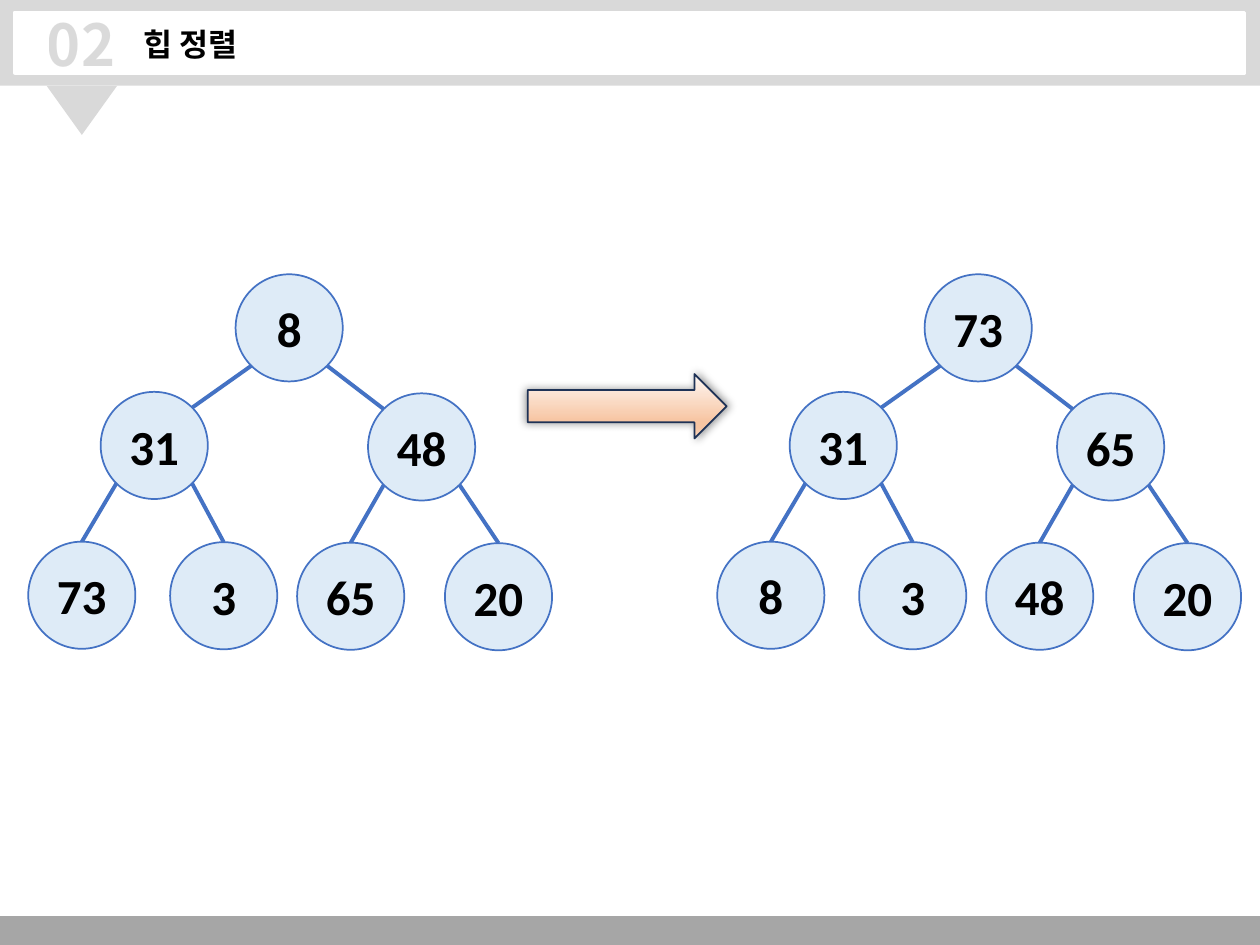
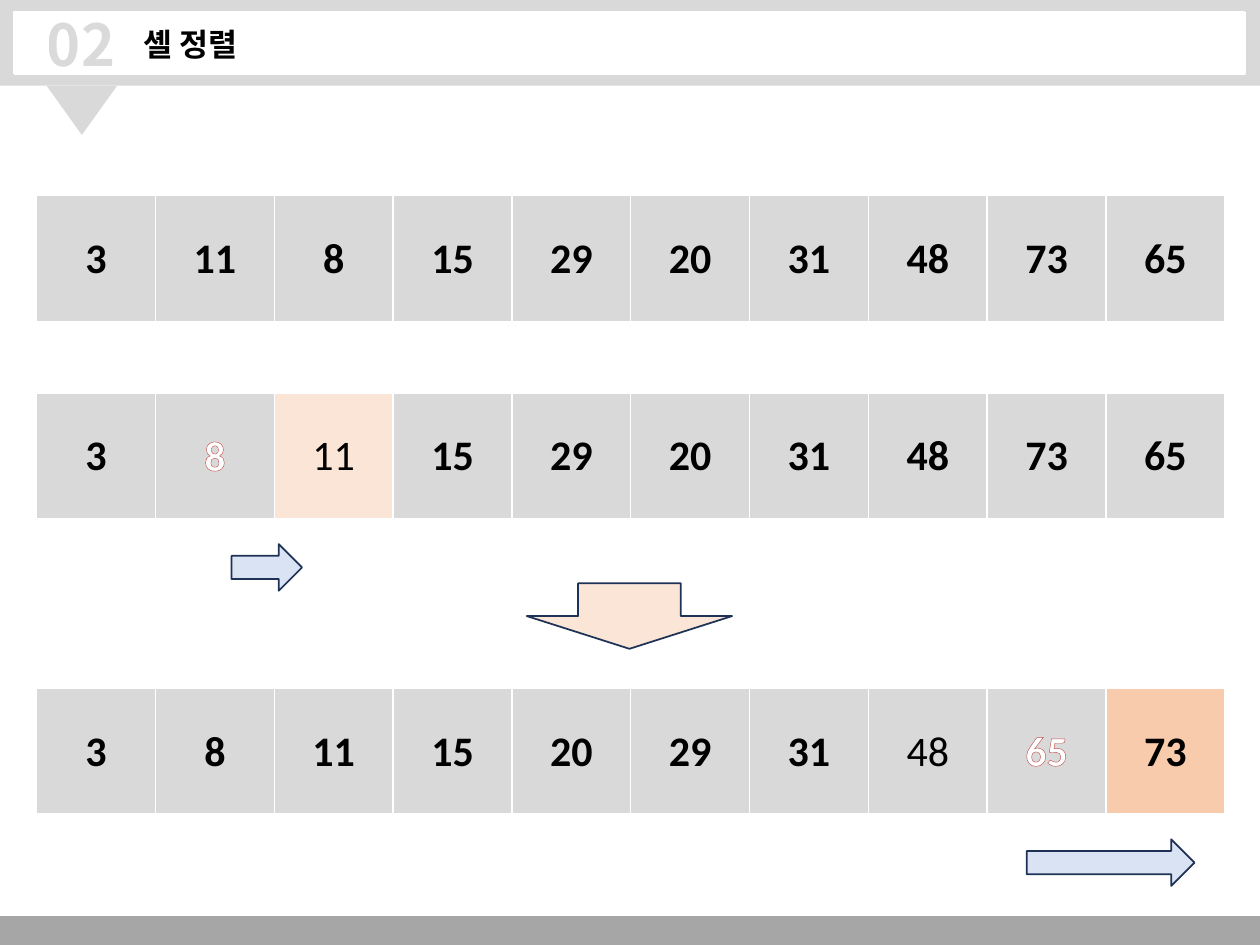
from lxml.etree import SubElement
from pptx import Presentation
from pptx.dml.color import RGBColor
from pptx.enum.shapes import MSO_CONNECTOR, MSO_SHAPE
from pptx.enum.text import MSO_ANCHOR, MSO_AUTO_SIZE, PP_ALIGN
from pptx.oxml.ns import qn
from pptx.util import Cm, Pt

WIDTH, HEIGHT = 25.4, 19.05
KOREAN, NUMERIC = "Noto Sans CJK KR", "Calibri"
BLACK, WHITE, GREY, DARK_GREY = "000000", "FFFFFF", "D9D9D9", "A6A6A6"
BLUE, PALE_BLUE, ARROW_BLUE, NAVY = "4472C4", "DEEBF7", "DAE3F3", "1E3256"
PALE_ORANGE, ORANGE = "FBE5D6", "F8CBAD"
SECTION = "02"

# Heap sort: values in level order, centres shared by both trees
HEAP_TITLE = "힙 정렬"
HEAPS = [[8, 31, 48, 73, 3, 65, 20], [73, 31, 65, 8, 3, 48, 20]]
NODE_CENTRES = [(5.83, 6.61), (3.11, 8.98), (8.5, 9.01),
                (1.65, 12), (4.51, 12.01), (7.07, 12.02), (10.05, 12.03)]
FIRST_LEAF = 3
TREE_STEP = 13.89
RADIUS, DIAGONAL = 1.08, 0.76
HEAP_ARROW = (10.64, 7.54, 4.01, 1.3)
HEAP_GRADIENT = [(0, "FEF8F5"), (74, "F7C5A2"), (83, "F7C5A2"), (100, "FAD8C1")]

# Shell sort: top of the row, values, and the cells that stand out
SHELL_TITLE = "셸 정렬"
PICKED = dict(color=WHITE, outline=("C0504D", 0.52, 100))
LIGHT = dict(bold=False)
SHELL_ROWS = [
    (3.94, [3, 11, 8, 15, 29, 20, 31, 48, 73, 65], {}, {}),
    (7.92, [3, 8, 11, 15, 29, 20, 31, 48, 73, 65],
     {1: PICKED, 2: LIGHT}, {2: PALE_ORANGE}),
    (13.87, [3, 8, 11, 15, 20, 29, 31, 48, 65, 73],
     {7: LIGHT, 8: PICKED}, {9: ORANGE}),
]
ROW_LEFT, ROW_WIDTH, ROW_HEIGHT = 0.74, 23.95, 2.57
SHELL_ARROWS = [
    (MSO_SHAPE.RIGHT_ARROW, (4.67, 10.97, 1.42, 0.94), ARROW_BLUE),
    (MSO_SHAPE.DOWN_ARROW, (10.62, 11.76, 4.14, 1.32), PALE_ORANGE),
    (MSO_SHAPE.RIGHT_ARROW, (20.7, 16.92, 3.38, 0.94), ARROW_BLUE),
]


def rgb(code):
    return RGBColor.from_string(code)


def add_xml(parent, tag, **attributes):
    return SubElement(parent, qn(tag), {k: str(v) for k, v in attributes.items()})


def add_color(parent, code, opacity=100):
    color = add_xml(parent, "a:srgbClr", val=code)
    if opacity < 100:
        add_xml(color, "a:alpha", val=opacity * 1000)


def write(frame, text, size, font=NUMERIC, color=BLACK, bold=True,
          align=PP_ALIGN.CENTER, opacity=100, spacing=None, outline=None):
    """Fill a text frame with one span; outline is (colour, points, opacity)."""
    para = frame.paragraphs[0]
    para.alignment = align
    span = para.add_run()
    span.text = str(text)
    span.font.size, span.font.bold, span.font.name = Pt(size), bold, font
    span.font.color.rgb = rgb(color)
    properties = span.font._element
    add_xml(properties, "a:ea", typeface=font)
    if opacity < 100:
        add_xml(properties.find(".//" + qn("a:srgbClr")), "a:alpha", val=opacity * 1000)
    if spacing:
        properties.set("spc", str(int(spacing * 100)))
    if outline:
        code, width, line_opacity = outline
        line = add_xml(properties, "a:ln", w=int(Pt(width)))
        add_color(add_xml(line, "a:solidFill"), code, line_opacity)
        properties.insert(0, line)


def add_figure(page, kind, place, fill, line=None, line_width=1):
    figure = page.shapes.add_shape(kind, *map(Cm, place))
    figure.shadow.inherit = False
    figure.fill.solid()
    figure.fill.fore_color.rgb = rgb(fill)
    if line:
        figure.line.color.rgb = rgb(line)
        figure.line.width = Pt(line_width)
    else:
        figure.line.fill.background()
    return figure


def add_page(deck, title):
    """Add a slide with the shared bands, section number and title."""
    page = deck.slides.add_slide(deck.slide_layouts.get_by_name("Title Only"))
    add_figure(page, MSO_SHAPE.RECTANGLE, (0, 18.47, WIDTH, 0.58), DARK_GREY)
    add_figure(page, MSO_SHAPE.RECTANGLE, (0, 0, WIDTH, 1.73), GREY)
    pointer = add_figure(page, MSO_SHAPE.ISOSCELES_TRIANGLE, (0.94, 1.73, 1.42, 0.99), GREY)
    pointer.rotation = 180
    add_figure(page, MSO_SHAPE.RECTANGLE, (0.3, 0.25, 24.79, 1.22), WHITE, WHITE, 2)

    heading = page.shapes.title
    heading.left, heading.top, heading.width, heading.height = map(Cm, (2.64, 0.38, 4.01, 1.02))
    page.shapes._spTree.append(heading._element)  # in front of the bands
    number = page.shapes.add_textbox(*map(Cm, (0.69, 0.03, 1.98, 1.68)))
    for box in (heading, number):
        box.text_frame.auto_size = MSO_AUTO_SIZE.NONE
        box.text_frame.vertical_anchor = MSO_ANCHOR.MIDDLE
    heading.text_frame.word_wrap = True
    number.text_frame.word_wrap = False
    write(heading.text_frame, title, 18, KOREAN, align=PP_ALIGN.LEFT)
    write(number.text_frame, SECTION, 33, KOREAN, GREY, align=PP_ALIGN.LEFT,
          opacity=95, spacing=0.5, outline=("101A26", 1.06, 6))
    return page


def add_edge(page, start, end):
    edge = page.shapes.add_connector(MSO_CONNECTOR.STRAIGHT, *map(Cm, start + end))
    edge.line.color.rgb = rgb(BLUE)
    edge.line.width = Pt(2.25)
    add_xml(edge._element.spPr, "a:effectLst")


def add_tree(page, values, offset):
    centres = [(x + offset, y) for x, y in NODE_CENTRES]
    for child in range(1, len(centres)):
        parent_x, parent_y = centres[(child - 1) // 2]
        x, y = centres[child]
        side = -1 if child % 2 else 1
        start = (parent_x + side * DIAGONAL, parent_y + DIAGONAL)
        end = (x, y - RADIUS) if child >= FIRST_LEAF else (x - side * DIAGONAL, y - DIAGONAL)
        add_edge(page, start, end)
    for value, (x, y) in zip(values, centres):
        place = (x - RADIUS, y - RADIUS, 2 * RADIUS, 2 * RADIUS)
        node = add_figure(page, MSO_SHAPE.OVAL, place, PALE_BLUE, BLUE)
        frame = node.text_frame
        frame.margin_left = frame.margin_right = 0
        frame.vertical_anchor = MSO_ANCHOR.MIDDLE
        write(frame, value, 28)


def add_gradient_arrow(page):
    arrow = add_figure(page, MSO_SHAPE.RIGHT_ARROW, HEAP_ARROW, PALE_ORANGE, NAVY)
    arrow.fill.gradient()
    arrow.fill.gradient_angle = 270
    properties = arrow._element.spPr
    stops = properties.find(".//" + qn("a:gsLst"))
    for stop in list(stops):
        stops.remove(stop)
    for position, code in HEAP_GRADIENT:
        add_color(add_xml(stops, "a:gs", pos=position * 1000), code)
    shadow = add_xml(properties.find(qn("a:effectLst")), "a:outerShdw", blurRad=63500,
                     sx=102000, sy=102000, algn="ctr", rotWithShape=0)
    add_color(shadow, BLACK, 40)


def add_borders(cell):
    """Draw white borders, the bottom one thicker."""
    properties = cell._tc.get_or_add_tcPr()
    for index, (tag, width) in enumerate(
            [("a:lnL", 1), ("a:lnR", 1), ("a:lnT", 1), ("a:lnB", 3)]):
        line = add_xml(properties, tag, w=int(Pt(width)))
        add_color(add_xml(line, "a:solidFill"), WHITE)
        properties.insert(index, line)


def add_array(page, top, values, formats, fills):
    place = map(Cm, (ROW_LEFT, top, ROW_WIDTH, ROW_HEIGHT))
    table = page.shapes.add_table(1, len(values), *place).table
    table.first_row = table.horz_banding = False
    for index, value in enumerate(values):
        cell = table.cell(0, index)
        cell.vertical_anchor = MSO_ANCHOR.MIDDLE
        cell.fill.solid()
        cell.fill.fore_color.rgb = rgb(fills.get(index, GREY))
        add_borders(cell)
        write(cell.text_frame, value, 24, **formats.get(index, {}))


def main():
    deck = Presentation()
    deck.slide_width, deck.slide_height = Cm(WIDTH), Cm(HEIGHT)

    heap_page = add_page(deck, HEAP_TITLE)
    for index, values in enumerate(HEAPS):
        add_tree(heap_page, values, index * TREE_STEP)
    add_gradient_arrow(heap_page)

    shell_page = add_page(deck, SHELL_TITLE)
    for row in SHELL_ROWS:
        add_array(shell_page, *row)
    for kind, place, fill in SHELL_ARROWS:
        add_figure(shell_page, kind, place, fill, NAVY)

    deck.save("out.pptx")


if __name__ == "__main__":
    main()
